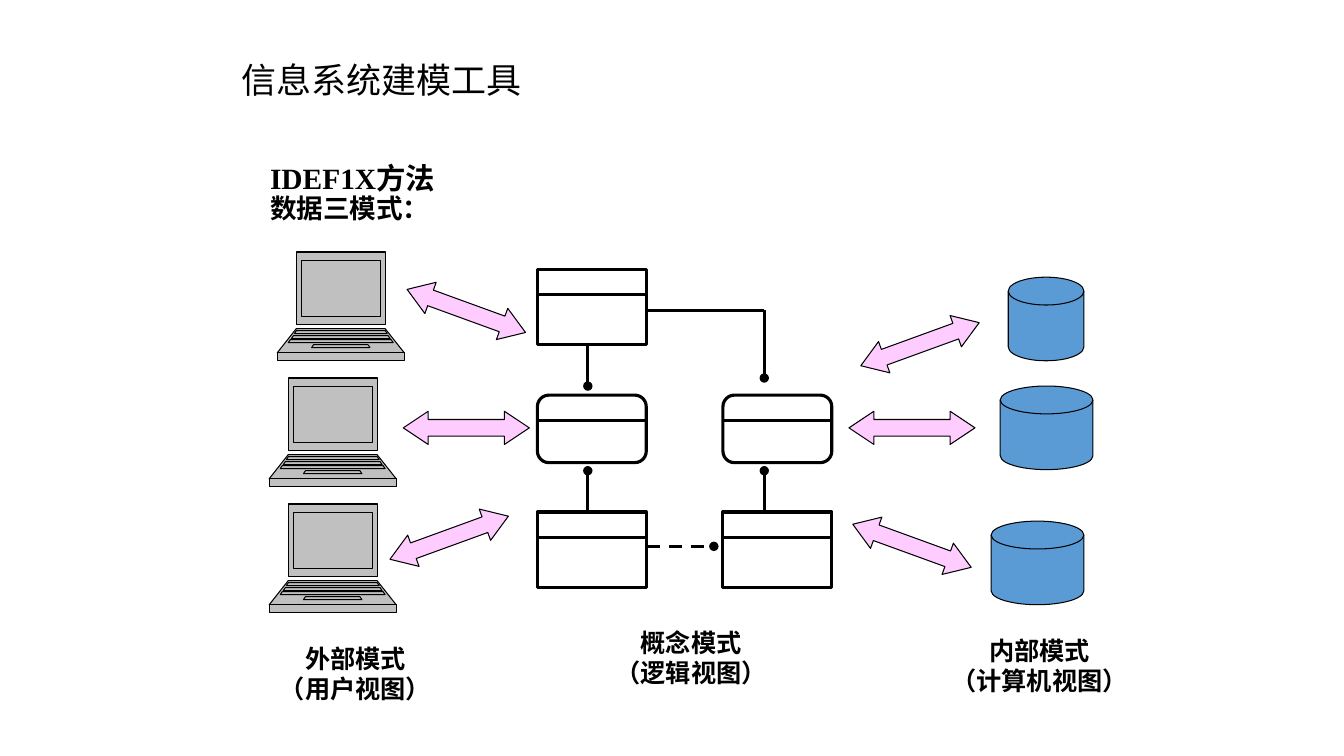
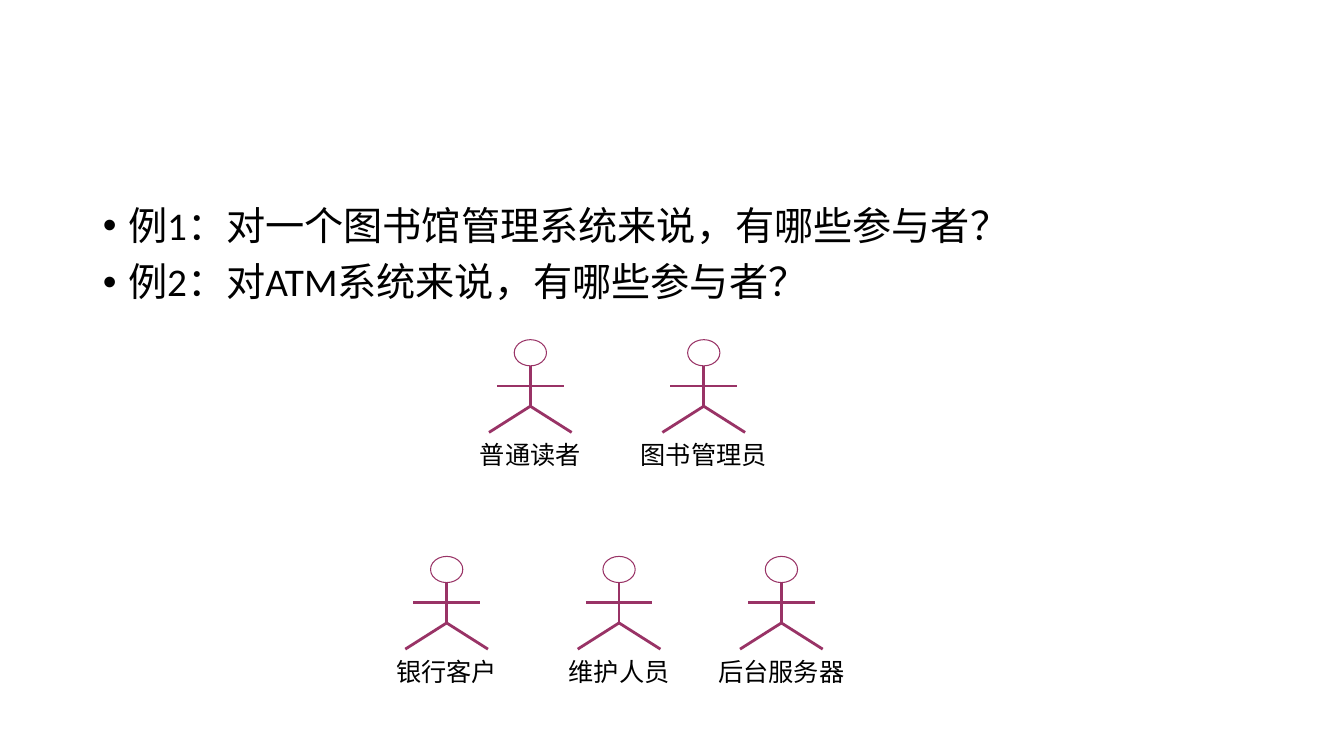
from lxml.etree import SubElement
from pptx import Presentation
from pptx.dml.color import RGBColor
from pptx.enum.dml import MSO_LINE
from pptx.enum.shapes import MSO_CONNECTOR, MSO_SHAPE
from pptx.enum.text import MSO_ANCHOR, PP_ALIGN
from pptx.oxml.ns import qn
from pptx.util import Inches, Pt

COLORS = {
    "ink": "000000",
    "laptop": "C0C0C0",
    "disk": "5B9BD5",
    "arrow": "FFCCFF",
    "actor": "993366",
}
CHINESE_FONT = "Noto Sans CJK SC"
SERIF = "Times New Roman"
SANS = "Calibri"
TITLE_ONLY, TITLE_AND_CONTENT = 5, 1

# Laptop parts: top, bottom, half width at the top, half width at the bottom
LAPTOP_CENTER = 0.63
LAPTOP_PARTS = [
    (0, 0.72, 0.44, 0.44),
    (0.76, 1, 0.44, 0.63),
    (1, 1.08, 0.63, 0.63),
    (0.08, 0.64, 0.39, 0.39),
    (0.78, 0.81, 0.44, 0.46),
    (0.92, 0.95, 0.27, 0.29),
    (0.83, 0.86, 0.47, 0.49),
    (0.87, 0.9, 0.5, 0.52),
]


def color(name):
    return RGBColor.from_string(COLORS[name])


def inches(*lengths):
    return [Inches(length) for length in lengths]


def write(box, lines, size=18, font=SANS, bold=False, align=PP_ALIGN.LEFT,
          spacing=1.0, before=0, indent=0, margin=0, bullet=None):
    """Fill a box with one paragraph per line; size may be a list."""
    frame = box.text_frame
    sizes = size if isinstance(size, list) else [size] * len(lines)
    for index, (line, points) in enumerate(zip(lines, sizes)):
        para = frame.add_paragraph() if index else frame.paragraphs[0]
        properties = para._p.get_or_add_pPr()
        properties.set("marL", str(Inches(margin)))
        properties.set("indent", str(Inches(indent)))
        if bullet:
            SubElement(properties, qn("a:buFont"), typeface="Arial")
            SubElement(properties, qn("a:buChar"), char=bullet)
        para.alignment = align
        para.line_spacing = spacing
        para.space_before = Pt(before if index else 0)
        span = para.add_run()
        span.text = line
        span.font.size = Pt(points)
        span.font.bold = bold
        span.font.color.rgb = color("ink")
        span.font.name = font
        SubElement(span.font._element, qn("a:ea"), typeface=CHINESE_FONT)


class Deck:
    def __init__(self):
        self.deck = Presentation()
        self.deck.slide_width, self.deck.slide_height = inches(13.33, 7.5)
        self.page = None

    def add_page(self, layout):
        self.page = self.deck.slides.add_slide(self.deck.slide_layouts[layout])

    def place(self, box, at):
        box.left, box.top, box.width, box.height = inches(*at)

    def title(self, text, at):
        box = self.page.shapes.title
        self.place(box, at)
        box.text_frame.vertical_anchor = MSO_ANCHOR.MIDDLE
        write(box, [text], size=25, font=CHINESE_FONT, spacing=0.9)

    def body(self, lines, at, **style):
        box = self.page.placeholders[1]
        self.place(box, at)
        write(box, lines, **style)

    def text(self, lines, at, wrap=True, inset=None, **style):
        box = self.page.shapes.add_textbox(*inches(*at))
        frame = box.text_frame
        frame.word_wrap = wrap
        if inset is not None:
            frame.margin_left = frame.margin_right = Inches(inset)
            frame.margin_top = frame.margin_bottom = Inches(inset)
        write(box, lines, **style)

    def paint(self, shape, fill, line, weight):
        shape.shadow.inherit = False
        if fill:
            shape.fill.solid()
            shape.fill.fore_color.rgb = color(fill)
        else:
            shape.fill.background()
        shape.line.color.rgb = color(line)
        shape.line.width = Pt(weight)

    def shape(self, kind, at, fill=None, line="ink", weight=0.75,
              turn=0, adjust=(), parent=None):
        shape = (parent or self.page).shapes.add_shape(kind, *inches(*at))
        for index, value in enumerate(adjust):
            shape.adjustments[index] = value
        shape.rotation = turn
        self.paint(shape, fill, line, weight)

    def line(self, start, end, stroke="ink", weight=2.25, dot=False,
             dash=False, parent=None):
        line = (parent or self.page).shapes.add_connector(
            MSO_CONNECTOR.STRAIGHT, *inches(*start, *end))
        line.line.color.rgb = color(stroke)
        line.line.width = Pt(weight)
        if dash:
            line.line.dash_style = MSO_LINE.DASH
        properties = line.element.spPr
        if dot:
            SubElement(properties.find(qn("a:ln")), qn("a:tailEnd"), type="oval")
        SubElement(properties, qn("a:effectLst"))

    def laptop(self, left, top):
        group = self.page.shapes.add_group_shape()
        center = left + LAPTOP_CENTER
        for upper, lower, narrow, wide in LAPTOP_PARTS:
            outline = group.shapes.build_freeform(
                *inches(center - narrow, top + upper))
            outline.add_line_segments([
                inches(center - wide, top + lower),
                inches(center + wide, top + lower),
                inches(center + narrow, top + upper),
            ], close=True)
            self.paint(outline.convert_to_shape(), "laptop", "ink", 0.75)

    def disk(self, left, top, width):
        self.shape(MSO_SHAPE.FLOWCHART_MAGNETIC_DISK,
                   (left, top, width, 0.83), fill="disk")

    def arrow(self, left, top, turn):
        self.shape(MSO_SHAPE.LEFT_RIGHT_ARROW, (left, top, 1.25, 0.33),
                   fill="arrow", turn=turn, adjust=(0.5, 0.75))

    def entity(self, left, top):
        for offset, height in ((0, 0.25), (0.25, 0.5)):
            self.shape(MSO_SHAPE.FLOWCHART_PROCESS,
                       (left, top + offset, 1.08, height), weight=2.25)

    def dependent_entity(self, left, top):
        self.shape(MSO_SHAPE.ROUNDED_RECTANGLE, (left, top, 1.08, 0.67),
                   weight=2.25, adjust=(0.17,))
        self.line((left, top + 0.25), (left + 1.08, top + 0.25))

    def actor(self, name, center, top):
        group = self.page.shapes.add_group_shape()
        self.shape(MSO_SHAPE.OVAL, (center - 0.16, top, 0.32, 0.26),
                   line="actor", weight=0, parent=group)
        hip = (center, top + 0.66)
        limbs = [
            ((center - 0.33, top + 0.46), (center + 0.33, top + 0.46)),
            ((center, top + 0.26), hip),
            (hip, (center - 0.41, top + 0.92)),
            (hip, (center + 0.41, top + 0.92)),
        ]
        for start, end in limbs:
            self.line(start, end, stroke="actor", weight=0, parent=group)
        self.text([name], (center - 0.83, top + 0.97, 1.66, 0.33), inset=0,
                  align=PP_ALIGN.CENTER, spacing=1.07)


def three_schemas(deck):
    deck.add_page(TITLE_ONLY)
    deck.title("信息系统建模工具", (2.3, 0.48, 7.89, 0.67))
    deck.text(["IDEF1X方法", "数据三模式："], (2.17, 1.58, 9.29, 0.8),
              size=[21, 19], font=SERIF, bold=True, spacing=0.9, indent=0.41)

    # External and internal schemas
    for left, top in ((2.75, 2.5), (2.67, 3.75), (2.67, 5)):
        deck.laptop(left, top)
    for left, top, width in ((10, 2.75, 0.75), (9.92, 3.83, 0.92),
                             (9.83, 5.17, 0.92)):
        deck.disk(left, top, width)

    # Conceptual schema
    left_column, right_column = 5.33, 7.17
    deck.entity(left_column, 2.67)
    for column in (left_column, right_column):
        deck.dependent_entity(column, 3.92)
        deck.entity(column, 5.08)

    # Relationships
    deck.line((5.83, 3.42), (5.83, 3.83), dot=True)
    deck.line((6.42, 3.08), (7.58, 3.08))
    deck.line((7.58, 3.08), (7.58, 3.75), dot=True)
    for middle in (5.83, 7.58):
        deck.line((middle, 5.08), (middle, 4.67), dot=True)
    deck.line((6.42, 5.42), (7.08, 5.42), dot=True, dash=True)

    # Mappings between the schemas
    for left, top, turn in ((4, 2.92, 20), (4, 4.08, 0), (3.83, 5.17, 340),
                            (8.5, 3.25, 340), (8.42, 4.08, 0),
                            (8.42, 5.25, 20)):
        deck.arrow(left, top, turn)

    # Schema names
    for name, view, left, top, width in (
            ("外部模式", "（用户视图）", 2.67, 6.33, 1.71),
            ("概念模式", "（逻辑视图）", 6, 6.17, 1.71),
            ("内部模式", "（计算机视图）", 9.33, 6.25, 1.96)):
        deck.text([name, view], (left, top, width, 0.7), wrap=False,
                  font=SERIF, bold=True, align=PP_ALIGN.CENTER)


def actors(deck):
    deck.add_page(TITLE_AND_CONTENT)
    empty_title = deck.page.shapes.title.element
    empty_title.getparent().remove(empty_title)
    deck.body(["例1：对一个图书馆管理系统来说，有哪些参与者？",
               "例2：对ATM系统来说，有哪些参与者？"],
              (0.92, 2, 11.5, 4.76), size=28, spacing=0.9, before=10,
              margin=0.25, indent=-0.25, bullet="•")

    # Library system, then ATM system
    for name, center, top in (("普通读者", 5.26, 3.37),
                              ("图书管理员", 6.98, 3.37),
                              ("银行客户", 4.43, 5.52),
                              ("维护人员", 6.14, 5.52),
                              ("后台服务器", 7.75, 5.52)):
        deck.actor(name, center, top)


def main():
    deck = Deck()
    three_schemas(deck)
    actors(deck)
    deck.deck.save("out.pptx")


if __name__ == "__main__":
    main()
